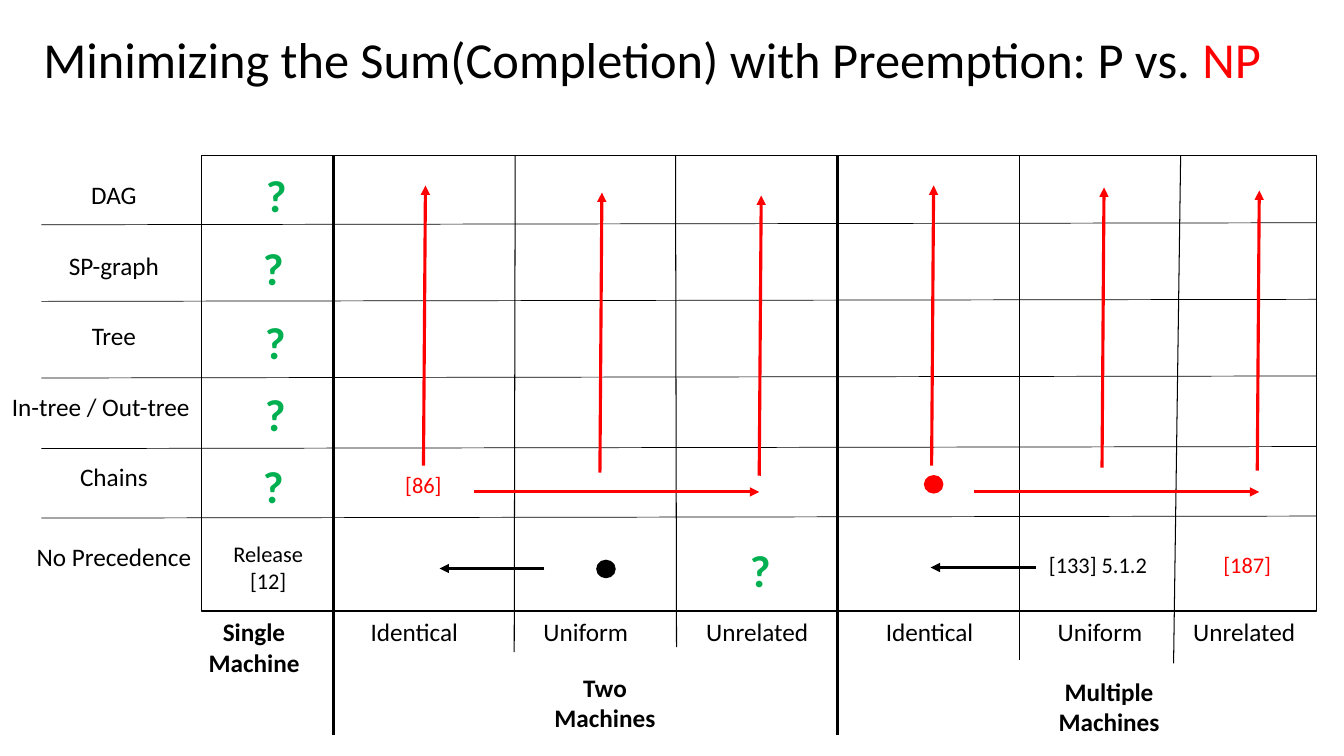
from dataclasses import dataclass

from lxml import etree
from pptx import Presentation
from pptx.dml.color import RGBColor
from pptx.enum.shapes import MSO_CONNECTOR, MSO_SHAPE
from pptx.enum.text import MSO_ANCHOR, MSO_AUTO_SIZE, PP_ALIGN
from pptx.oxml.ns import qn
from pptx.util import Inches, Pt


@dataclass(frozen=True)
class Theme:
    """Colours, font and type sizes of the slide."""
    font: str = "Calibri"
    black: RGBColor = RGBColor(0, 0, 0)
    hard: RGBColor = RGBColor(0xFF, 0, 0)
    unknown: RGBColor = RGBColor(0, 0xB0, 0x50)
    title: int = 36
    mark: int = 32
    label: int = 18
    cite: int = 16
    thick: float = 2.25


theme = Theme()
prs = Presentation()
prs.slide_width, prs.slide_height = Inches(13.33), Inches(7.5)
slide = prs.slides.add_slide(prs.slide_layouts[5])


def add_label(text, center, top, width=1.43, size=theme.label, color=theme.black, bold=False):
    """Add centred text, one paragraph per line, around a column centre."""
    height = 0.1 + len(text.split("\n")) * size / 60
    box = slide.shapes.add_textbox(Inches(center - width / 2), Inches(top), Inches(width), Inches(height))
    frame = box.text_frame
    frame.word_wrap = True
    frame.text = text
    for paragraph in frame.paragraphs:
        paragraph.alignment = PP_ALIGN.CENTER
        font = paragraph.font
        font.name, font.size, font.bold = theme.font, Pt(size), bold
        font.color.rgb = color


def add_line(start, end, width, color=theme.black, arrow=False):
    """Draw a straight line, with an arrowhead at its end if asked."""
    line = slide.shapes.add_connector(MSO_CONNECTOR.STRAIGHT, *map(Inches, start + end))
    line.line.color.rgb, line.line.width = color, Pt(width)
    if arrow:
        etree.SubElement(line.line._get_or_add_ln(), qn("a:tailEnd"), type="triangle")
    etree.SubElement(line._element.spPr, qn("a:effectLst"))


# Title
title = slide.shapes.title
title.left, title.top, title.width, title.height = map(Inches, (0.33, 0.23, 12.39, 0.71))
frame = title.text_frame
frame.word_wrap, frame.auto_size = False, MSO_AUTO_SIZE.NONE
frame.vertical_anchor = MSO_ANCHOR.TOP
heading = frame.paragraphs[0]
heading.alignment = PP_ALIGN.LEFT
for text, color in (("Minimizing the Sum(Completion) with Preemption: P vs. ", theme.black), ("NP", theme.hard)):
    run = heading.add_run()
    run.text = text
    run.font.name, run.font.size, run.font.color.rgb = theme.font, Pt(theme.title), color

# Grid
left, top, right, bottom = 2, 1.54, 13.06, 6.06
label_left, tilt = 0.41, 0.02
frame_box = slide.shapes.add_shape(
    MSO_SHAPE.RECTANGLE, *map(Inches, (left, top, right - left, bottom - top)))
frame_box.shadow.inherit = False
frame_box.fill.background()
frame_box.line.color.rgb, frame_box.line.width = theme.black, Pt(1)
for y in (2.23, 2.99, 3.75, 4.45, 5.14):
    add_line((label_left, y), (right, y - tilt), 0.5)
for x in (3.31, 8.31):
    add_line((x, 7.29), (x, top), theme.thick)
for foot_x, foot_y, head_x in ((5.1, 6.47, 5.11), (6.71, 6.42, 6.7), (10.11, 6.55, 10.11), (11.64, 6.58, 11.71)):
    add_line((foot_x, foot_y), (head_x, top), 0.75)

# Row labels and open cases of the single machine
row_step = 0.7
for row, (name, center) in enumerate((
        ("DAG", 1.13), ("SP-graph", 1.13), ("Tree", 1.13), ("In-tree / Out-tree", 1), ("Chains", 1.13))):
    add_label(name, center, 1.73 + row * row_step, 2)
add_label("No Precedence", 1.13, 5.32, 1.75)
open_cases = [(2.74, 1.61), (2.71, 2.34), (2.73, 3.07), (2.73, 3.79), (2.71, 4.5), (7.54, 5.33)]
for center, y in open_cases:
    add_label("?", center, y, 0.6, theme.mark, theme.unknown, True)

# Column labels
for name, centers in (("Identical", (4.11, 9.22)), ("Uniform", (5.81, 10.91)), ("Unrelated", (7.51, 12.34))):
    for center in centers:
        add_label(name, center, 6.07)
for name, center, y in (("Single", 2.52, 6.07), ("Two", 6, 6.62), ("Multiple", 11, 6.66)):
    add_label(f"{name}\nMachine" + ("" if name == "Single" else "s"), center, y, bold=True)

# Known results
for text, center, y, color in (
        ("Release\n[12]", 2.66, 5.31, theme.black), ("[133] 5.1.2", 10.89, 5.42, theme.black),
        ("[187]", 12.37, 5.42, theme.hard), ("[86]", 4.2, 4.62, theme.hard)):
    add_label(text, center, y, 1.54, theme.cite, color)
for x, y, color in ((5.92, 5.56, theme.black), (9.17, 4.72, theme.hard)):
    dot = slide.shapes.add_shape(MSO_SHAPE.OVAL, *map(Inches, (x, y, 0.18, 0.17)))
    dot.shadow.inherit = False
    dot.fill.solid()
    dot.fill.fore_color.rgb = dot.line.color.rgb = color
    dot.line.width = Pt(1)

# Implications: upwards along each column, sideways along the rows
rise = 2.78
for x, y in ((4.2, 4.62), (5.95, 4.69), (7.53, 4.72), (9.24, 4.62), (10.93, 4.64), (12.47, 4.67)):
    add_line((x, y), (x + tilt, y - rise), theme.thick, theme.hard, arrow=True)
for x, y, reach, color in (
        (4.7, 4.88, 2.83, theme.hard), (9.66, 4.88, 2.83, theme.hard),
        (5.4, 5.64, -1.04, theme.black), (10.28, 5.63, -1.05, theme.black)):
    add_line((x, y), (x + reach, y), theme.thick, color, arrow=True)

prs.save("out.pptx")
